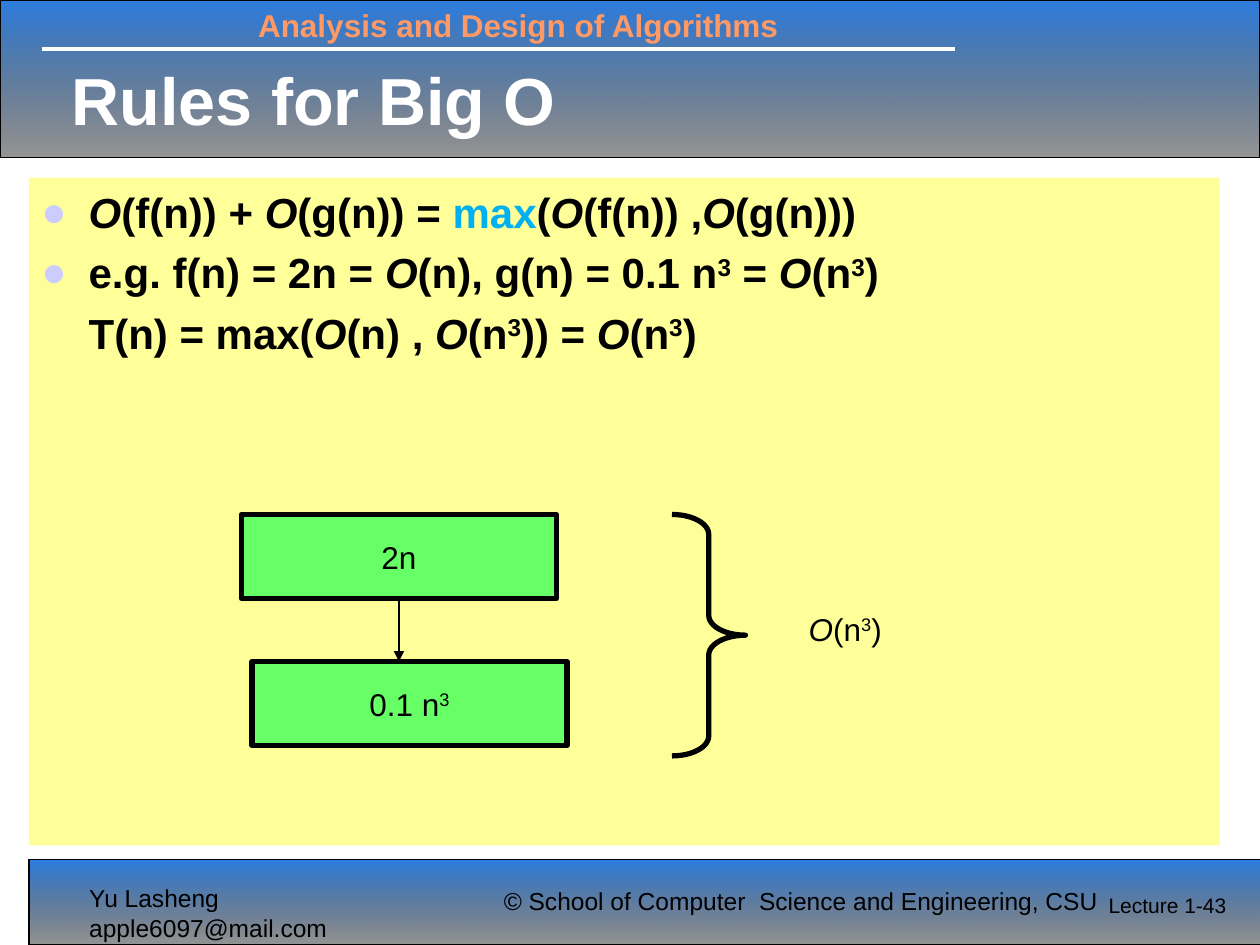
"""Build the "Rules for Big O" slide."""
from dataclasses import dataclass
from typing import Optional

from lxml.etree import SubElement
from pptx import Presentation
from pptx.dml.color import RGBColor
from pptx.enum.shapes import MSO_CONNECTOR as Link, MSO_SHAPE as Preset
from pptx.enum.text import MSO_ANCHOR as Anchor, MSO_AUTO_SIZE as AutoSize, PP_ALIGN as Align
from pptx.oxml.ns import qn
from pptx.util import Pt

BLACK = RGBColor(0x00, 0x00, 0x00)
WHITE = RGBColor(0xFF, 0xFF, 0xFF)
BLUE = RGBColor(0x0E, 0x6B, 0xDC)
ORANGE = RGBColor(0xFF, 0x99, 0x66)
CYAN = RGBColor(0x00, 0xB0, 0xF0)
YELLOW = RGBColor(0xFF, 0xFF, 0x99)
GREEN = RGBColor(0x66, 0xFF, 0x66)
LILAC = RGBColor(0xCC, 0xCC, 0xFF)
BAR_STOPS = ((BLUE, 88), (BLACK, 41))
INDENT = 27


@dataclass(frozen=True)
class Span:
    text: str
    italic: bool = False
    raised: bool = False
    color: Optional[RGBColor] = None


@dataclass(frozen=True)
class Area:
    left: float
    top: float
    width: float
    height: float

    def lengths(self) -> tuple:
        return Pt(self.left), Pt(self.top), Pt(self.width), Pt(self.height)


@dataclass(frozen=True)
class Label:
    area: Area
    spans: tuple
    size: float = 14
    color: RGBColor = BLACK
    bold: bool = False
    wrap: bool = True


@dataclass(frozen=True)
class Rule:
    spans: tuple
    bullet: bool = True


BIG_O = Span("O", italic=True)
CUBE = Span("3", raised=True)
O_CUBED = (BIG_O, Span("(n"), CUBE, Span(")"))

BARS = (Area(0, 0, 720, 90), Area(16.56, 491, 720, 49))
LABELS = (
    Label(Area(140.4, 0, 360, 28.8), (Span("Analysis and Design of Algorithms"),),
          size=18, color=ORANGE, bold=True),
    Label(Area(43.9, 501.1, 231, 41), (Span("Yu Lasheng  apple6097@mail.com"),), wrap=False),
    Label(Area(280.8, 502.6, 380.2, 24.5),
          (Span("© School of Computer  Science and Engineering, CSU"),)),
    Label(Area(455, 344.9, 72.7, 36), O_CUBED, size=18, wrap=False),
    Label(Area(626.4, 506.2, 85, 36), (Span("Lecture 1-43"),), size=12),
)
RULES = (
    Rule((BIG_O, Span("(f(n)) + "), BIG_O, Span("(g(n)) = "), Span("max", color=CYAN),
          Span("("), BIG_O, Span("(f(n)) ,"), BIG_O, Span("(g(n)))"))),
    Rule((Span("e.g. f(n) = 2n = "), BIG_O, Span("(n), g(n) = 0.1 n"), CUBE,
          Span(" = "), *O_CUBED)),
    Rule((Span("T(n) = max("), BIG_O, Span("(n) , "), *O_CUBED, Span(") = "), *O_CUBED),
         bullet=False),
)


def write(para, spans, *, size: float, color: RGBColor = BLACK, bold: bool = False,
          align=Align.LEFT) -> None:
    para.alignment = align
    for part in spans:
        span = para.add_run()
        span.text = part.text
        span.font.name = "Arial"
        span.font.size = Pt(size)
        span.font.bold = bold
        span.font.italic = part.italic
        span.font.color.rgb = part.color or color
        if part.raised:
            span.font._element.set("baseline", "30000")


def add_bar(page, area: Area) -> None:
    bar = page.shapes.add_shape(Preset.RECTANGLE, *area.lengths())
    bar.shadow.inherit = False
    bar.fill.gradient()
    bar.fill.gradient_angle = 270
    for stop, (color, opacity), position in zip(bar.fill.gradient_stops, BAR_STOPS, (0, 1)):
        stop.color.rgb = color
        stop.position = position
    for node, (_, opacity) in zip(bar.element.spPr.iter(qn("a:srgbClr")), BAR_STOPS):
        SubElement(node, qn("a:alpha")).set("val", str(opacity * 1000))
    bar.line.color.rgb = BLACK
    bar.line.width = Pt(0.75)


def add_label(page, label: Label) -> None:
    box = page.shapes.add_textbox(*label.area.lengths())
    box.text_frame.word_wrap = label.wrap
    write(box.text_frame.paragraphs[0], label.spans, size=label.size,
          color=label.color, bold=label.bold)


def add_line(page, start: tuple, end: tuple, color: RGBColor, width: float,
             source=None, arrow: bool = False) -> None:
    line = page.shapes.add_connector(Link.STRAIGHT, *map(Pt, start + end))
    if source is not None:
        line.begin_connect(source, 2)
    line.line.color.rgb = color
    line.line.width = Pt(width)
    if arrow:
        SubElement(line.line._get_or_add_ln(), qn("a:tailEnd")).set("type", "triangle")
    SubElement(line.element.spPr, qn("a:effectLst"))


def add_outlined(page, preset, area: Area, spans=(), fill: Optional[RGBColor] = None):
    box = page.shapes.add_shape(preset, *area.lengths())
    box.shadow.inherit = False
    if fill is None:
        box.fill.background()
    else:
        box.fill.solid()
        box.fill.fore_color.rgb = fill
    box.line.color.rgb = BLACK
    box.line.width = Pt(3)
    if spans:
        box.text_frame.word_wrap = False
        box.text_frame.vertical_anchor = Anchor.MIDDLE
        write(box.text_frame.paragraphs[0], spans, size=18, align=Align.CENTER)
    return box


def add_rules(page, area: Area, rules) -> None:
    box = page.shapes.add_textbox(*area.lengths())
    box.fill.solid()
    box.fill.fore_color.rgb = YELLOW
    frame = box.text_frame
    frame.word_wrap = True
    frame.margin_top = Pt(5)
    for index, rule in enumerate(rules):
        para = frame.add_paragraph() if index else frame.paragraphs[0]
        layout = para._p.get_or_add_pPr()
        layout.set("marL", str(Pt(INDENT)))
        layout.set("indent", str(Pt(-INDENT if rule.bullet else 0)))
        if rule.bullet:
            tint = SubElement(layout, qn("a:buClr"))
            SubElement(tint, qn("a:srgbClr")).set("val", str(LILAC))
            SubElement(layout, qn("a:buFont")).set("typeface", "Arial")
            SubElement(layout, qn("a:buChar")).set("char", "●")
        if index:
            para.space_before = Pt(5.8)
        write(para, rule.spans, size=24, bold=True)


def place_title(page, area: Area, text: str) -> None:
    title = page.shapes.title
    title.left, title.top, title.width, title.height = area.lengths()
    title.text_frame.auto_size = AutoSize.NONE
    title.text_frame.vertical_anchor = Anchor.MIDDLE
    write(title.text_frame.paragraphs[0], (Span(text),), size=38, color=WHITE, bold=True)
    title.element.getparent().append(title.element)


def main() -> None:
    deck = Presentation()
    deck.slide_width, deck.slide_height = Pt(720), Pt(540)
    page = deck.slides.add_slide(deck.slide_layouts[5])
    for area in BARS:
        add_bar(page, area)
    add_line(page, (23.8, 28), (545.8, 28), WHITE, 2.25)
    place_title(page, Area(33.8, 28.1, 562.3, 56.9), "Rules for Big O")
    add_rules(page, Area(16.56, 101.5, 680.4, 381.6), RULES)
    first = add_outlined(page, Preset.RECTANGLE, Area(138, 294, 180, 48), (Span("2n"),), GREEN)
    add_outlined(page, Preset.RECTANGLE, Area(144, 378, 180, 48), (Span("0.1 n"), CUBE), GREEN)
    add_line(page, (228, 342), (228, 378), BLACK, 0.75, source=first, arrow=True)
    brace = add_outlined(page, Preset.RIGHT_BRACE, Area(384, 294, 42, 138))
    brace.adjustments[0] = 0.27
    for label in LABELS:
        add_label(page, label)
    deck.save("out.pptx")


if __name__ == "__main__":
    main()
